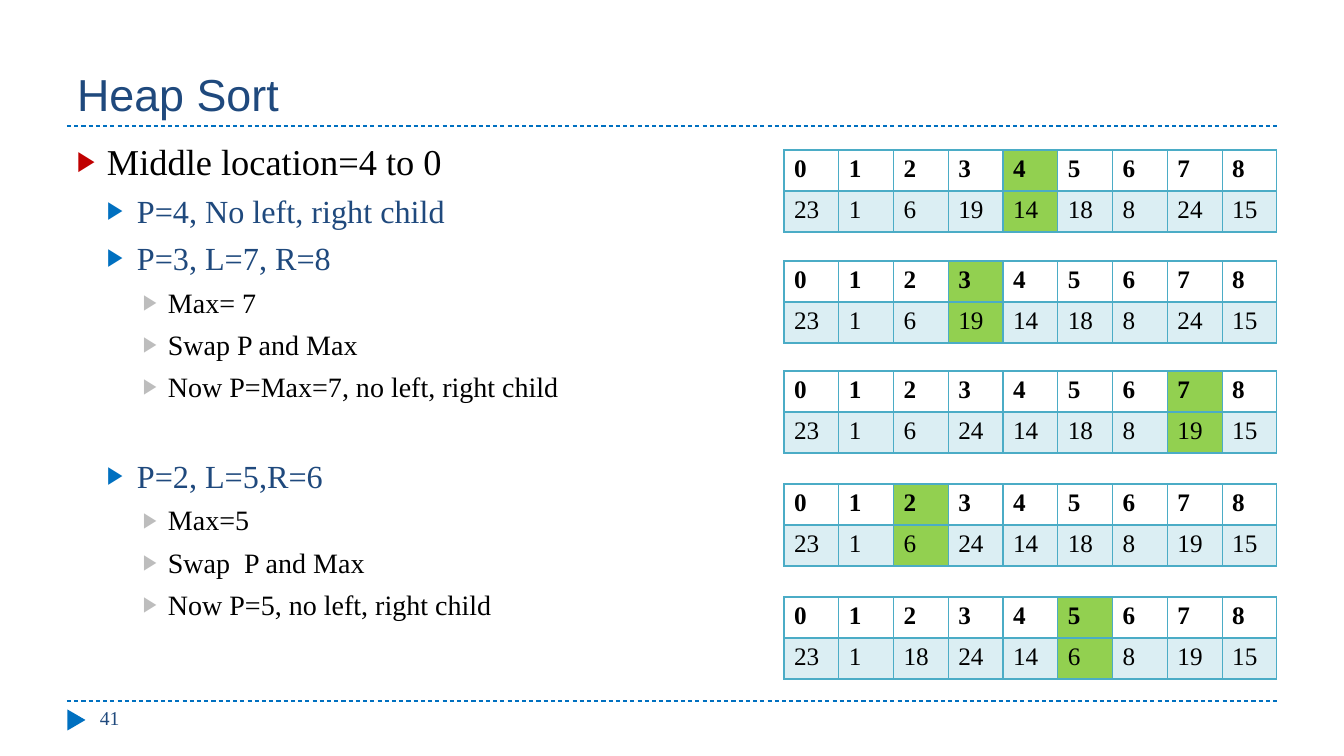
from lxml import etree
from pptx import Presentation
from pptx.dml.color import RGBColor
from pptx.enum.dml import MSO_LINE
from pptx.enum.shapes import MSO_CONNECTOR, MSO_SHAPE
from pptx.enum.text import MSO_ANCHOR, PP_ALIGN
from pptx.oxml.ns import qn
from pptx.util import Pt

DASH = MSO_LINE.DASH
STRAIGHT = MSO_CONNECTOR.STRAIGHT
TRIANGLE = MSO_SHAPE.ISOSCELES_TRIANGLE
BOTTOM, LEFT = MSO_ANCHOR.BOTTOM, PP_ALIGN.LEFT

EMU_PER_PX = 12192000 / 1344
NAVY, BLUE, TEAL, GREEN, BLACK = "1F497D", "0070C0", "4BACC6", "92D050", "000000"
SERIF, SANS = "Times New Roman", "Arial"

TITLE = "Heap Sort"
PAGE = "41"

# (level, text, space before in points)
STEPS = [
    (0, "Middle location=4 to 0", 6),
    (1, "P=4, No left, right child", 6),
    (1, "P=3, L=7, R=8", 6),
    (2, "Max= 7", 6),
    (2, "Swap P and Max", 6),
    (2, "Now P=Max=7, no left, right child", 6),
    (1, "P=2, L=5,R=6", 38),
    (2, "Max=5", 6),
    (2, "Swap  P and Max", 6),
    (2, "Now P=5, no left, right child", 6),
]
LEVELS = [
    {"size": 26, "color": BLACK, "bullet": "C00000", "margin": 30, "hang": 30},
    {"size": 23, "color": NAVY, "bullet": BLUE, "margin": 60, "hang": 30},
    {"size": 20, "color": BLACK, "bullet": "BDBDBD", "margin": 91, "hang": 25},
]

# (top, highlighted index, heap values)
HEAPS = [
    (150, 4, [23, 1, 6, 19, 14, 18, 8, 24, 15]),
    (261, 3, [23, 1, 6, 19, 14, 18, 8, 24, 15]),
    (371, 7, [23, 1, 6, 24, 14, 18, 8, 19, 15]),
    (484, 2, [23, 1, 6, 24, 14, 18, 8, 19, 15]),
    (597, 5, [23, 1, 18, 24, 14, 6, 8, 19, 15]),
]
HEAP_LEFT, HEAP_WIDTH, ROW_HEIGHT = 784, 493, 41
RULE_LEFT, RULE_RIGHT, RULE_TOPS = 67, 1277, (701, 126)


def px(n):
    return round(n * EMU_PER_PX)


def box(*lengths):
    return [px(n) for n in lengths]


def rgb(value):
    return RGBColor.from_string(value)


def add_text(p, text, size, color, font=SERIF, bold=False):
    p.alignment = LEFT
    r = p.add_run()
    r.text = text
    for name, value in {"size": Pt(size), "name": font, "bold": bold}.items():
        setattr(r.font, name, value)
    r.font.color.rgb = rgb(color)


def add_xml(parent, tag, **attrs):
    return etree.SubElement(parent, qn(tag), attrs)


def add_rule(s, y):
    line = s.shapes.add_connector(STRAIGHT, *box(RULE_LEFT, y, RULE_RIGHT, y))
    line.line.color.rgb = rgb(BLUE)
    line.line.width = Pt(0.75)
    line.line.dash_style = DASH
    add_xml(line._element.spPr, "a:effectLst")


def add_text_box(s, *place):
    tf = s.shapes.add_textbox(*box(*place)).text_frame
    tf.word_wrap = True
    return tf


def add_steps(s):
    tf = add_text_box(s, 67, 134, 700, 544)
    for i, (level, text, before) in enumerate(STEPS):
        look = LEVELS[level]
        p = tf.add_paragraph() if i else tf.paragraphs[0]
        p.level = level
        p.space_before = Pt(before)
        add_text(p, text, look["size"], look["color"])
        pPr = p._p.get_or_add_pPr()
        pPr.set("marL", str(px(look["margin"])))
        pPr.set("indent", str(-px(look["hang"])))
        add_xml(add_xml(pPr, "a:buClr"), "a:srgbClr", val=look["bullet"])
        add_xml(pPr, "a:buSzPct", val="76000")
        add_xml(pPr, "a:buFont", typeface=SANS)
        add_xml(pPr, "a:buChar", char="▶")


def set_borders(cell, bottom):
    """Outline a cell; lines must come before the fill in its properties."""
    tcPr = cell._tc.get_or_add_tcPr()
    for i, (side, width) in enumerate(zip("LRTB", (1, 1, 1, bottom))):
        line = add_xml(tcPr, f"a:ln{side}", w=str(Pt(width)))
        add_xml(add_xml(line, "a:solidFill"), "a:srgbClr", val=TEAL)
        tcPr.insert(i, line)


def fill_cell(cell, is_header, is_marked):
    if is_header and not is_marked:
        cell.fill.background()
        return
    cell.fill.solid()
    cell.fill.fore_color.rgb = rgb(GREEN if is_marked else TEAL)
    if not is_marked:
        color = cell._tc.tcPr.find(qn("a:solidFill")).find(qn("a:srgbClr"))
        add_xml(color, "a:alpha", val="20000")


def add_heap(s, top, marked, values):
    count = len(values)
    place = box(HEAP_LEFT, top, HEAP_WIDTH, 2 * ROW_HEIGHT)
    table = s.shapes.add_table(2, count, *place).table
    table.first_row = table.horz_banding = False
    for col in table.columns:
        col.width = px(HEAP_WIDTH / count)
    for row, numbers in enumerate((range(count), values)):
        table.rows[row].height = px(ROW_HEIGHT)
        is_header = row == 0
        for col, number in enumerate(numbers):
            cell = table.cell(row, col)
            add_text(cell.text_frame.paragraphs[0], str(number), 18, BLACK, bold=is_header)
            fill_cell(cell, is_header, col == marked)
            set_borders(cell, 2 if is_header else 1)


def main():
    prs = Presentation()
    prs.slide_width, prs.slide_height = box(1344, 756)
    s = prs.slides.add_slide(prs.slide_layouts[5])

    for y in RULE_TOPS:
        add_rule(s, y)

    marker = s.shapes.add_shape(TRIANGLE, *box(66, 711, 21, 18))
    marker.rotation = 90
    marker.shadow.inherit = False
    marker.fill.solid()
    marker.fill.fore_color.rgb = rgb(BLUE)
    marker.line.fill.background()

    title = s.shapes.title
    title.left, title.top, title.width, title.height = box(67, 17, 1210, 109)
    title.text_frame.vertical_anchor = BOTTOM
    add_text(title.text_frame.paragraphs[0], TITLE, 32, NAVY, SANS)

    add_text(add_text_box(s, 90, 701, 291, 40).paragraphs[0], PAGE, 14, NAVY)
    add_steps(s)
    for heap in HEAPS:
        add_heap(s, *heap)
    prs.save("out.pptx")


if __name__ == "__main__":
    main()
